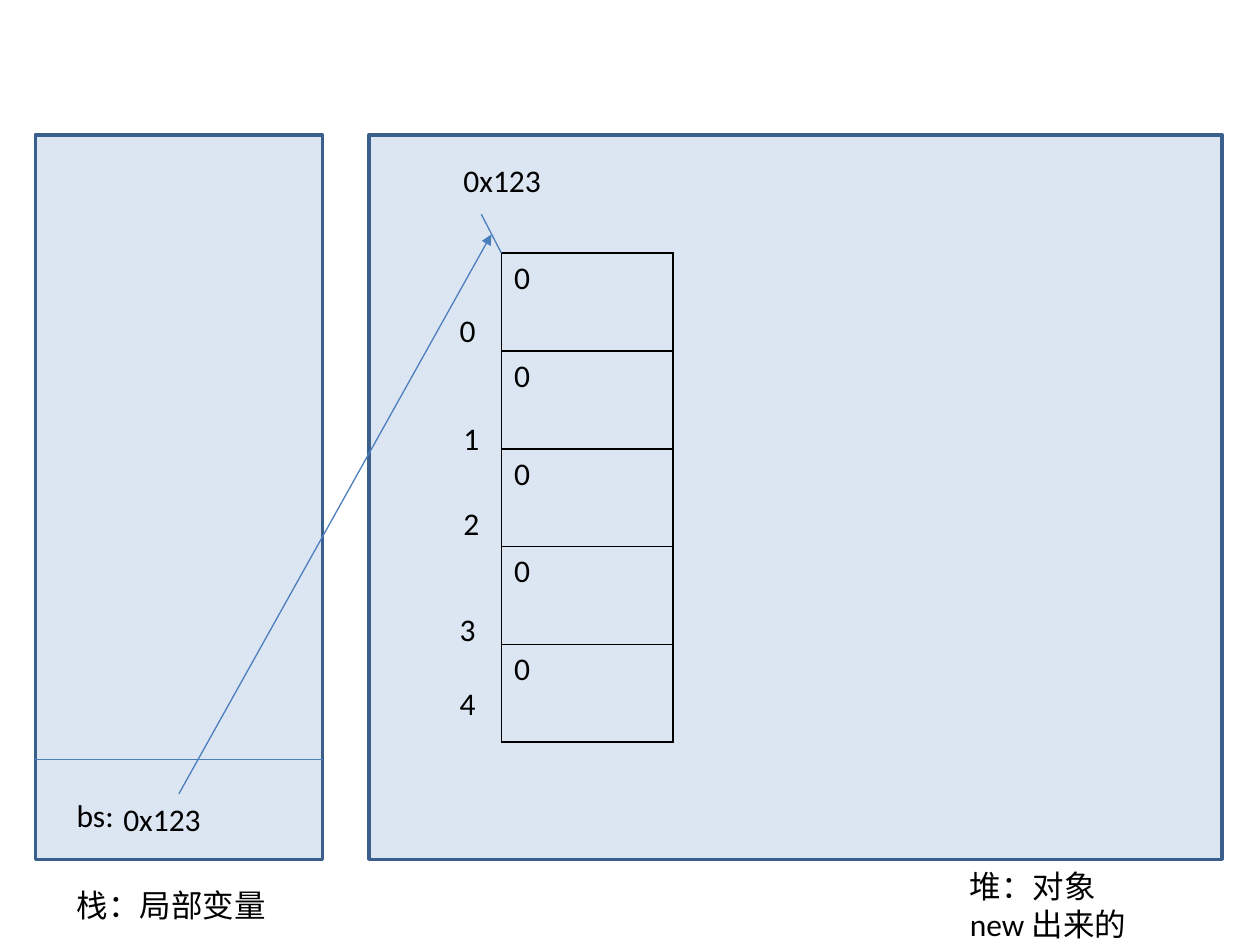
from lxml import etree
from pptx import Presentation
from pptx import util as u
from pptx.dml.color import RGBColor
from pptx.enum import shapes, text
from pptx.oxml.ns import qn

PANEL, EDGE, ARROW, INK = "DCE6F2", "3A5F8C", "4B7EBC", "000000"
FONT = {"name": "Calibri", "size": u.Pt(18)}
FRAME = {"word_wrap": True, "auto_size": text.MSO_AUTO_SIZE.SHAPE_TO_FIT_TEXT}


def rgb(value):
    return RGBColor.from_string(value)


def apply(obj, values):
    for name, value in values.items():
        setattr(obj, name, value)


def lengths(*values):
    return [u.Inches(v) for v in values]


def write(tf, lines):
    tf.text = "\n".join(lines)
    for p in tf.paragraphs:
        for r in p.runs:
            apply(r.font, FONT)
            r.font.color.rgb = rgb(INK)


def add_panel(s, *box):
    sp = s.shapes.add_shape(shapes.MSO_SHAPE.RECTANGLE, *lengths(*box))
    sp.shadow.inherit = False
    sp.fill.solid()
    sp.fill.fore_color.rgb = rgb(PANEL)
    sp.line.color.rgb = rgb(EDGE)
    sp.line.width = u.Pt(2)


def add_label(s, box, *lines):
    sp = s.shapes.add_textbox(*lengths(*box))
    apply(sp.text_frame, FRAME)
    write(sp.text_frame, lines)
    return sp


def add_line(s, *ends, arrow=False):
    line = s.shapes.add_connector(shapes.MSO_CONNECTOR.STRAIGHT, *lengths(*ends))
    line.line.color.rgb = rgb(ARROW)
    line.line.width = u.Pt(0.75)
    if arrow:
        ln = line.line._get_or_add_ln()
        etree.SubElement(ln, qn("a:tailEnd"), type="triangle")
    etree.SubElement(line._element.spPr, qn("a:effectLst"))
    return line


def add_borders(cell):
    """Draw all four sides; borders must come before the cell's fill."""
    props = cell._tc.get_or_add_tcPr()
    for i, side in enumerate(("a:lnL", "a:lnR", "a:lnT", "a:lnB")):
        ln = etree.Element(qn(side), w=str(u.Pt(1)))
        fill = etree.SubElement(ln, qn("a:solidFill"))
        etree.SubElement(fill, qn("a:srgbClr"), val=INK)
        props.insert(i, ln)


def add_array(s, box, values):
    left, top, width, height = lengths(*box)
    table = s.shapes.add_table(len(values), 1, left, top, width, height).table
    apply(table, {"first_row": False, "horz_banding": False})
    for row, value in zip(table.rows, values):
        row.height = height // len(values)
        cell = row.cells[0]
        write(cell.text_frame, [value])
        cell.fill.background()
        add_borders(cell)


def main():
    prs = Presentation()
    prs.slide_width, prs.slide_height = lengths(10, 7.5)
    s = prs.slides.add_slide(prs.slide_layouts[6])

    # Stack and heap
    for left, width in ((0.28, 2.28), (2.93, 6.77)):
        add_panel(s, left, 1.07, width, 5.75)
    add_label(s, (0.51, 6.98, 2.68, 0.4), "栈：局部变量")
    add_label(s, (7.6, 6.83, 1.73, 0.71), "堆：对象", "new 出来的")

    # Array on the heap, with its address
    add_line(s, 0.28, 6.03, 2.56, 6.03)
    add_label(s, (0.51, 6.27, 1.5, 0.4), "bs:")
    add_array(s, (3.98, 2.01, 1.36, 3.88), ["0"] * 5)
    add_line(s, 3.98, 2.01, 3.82, 1.7)
    add_label(s, (3.58, 1.23, 1.08, 0.4), "0x123")

    # Reference from the stack variable
    reference = add_label(s, (0.88, 6.3, 1.08, 0.4), "0x123")
    pointer = add_line(s, 1.42, 6.3, 3.9, 1.86, arrow=True)
    pointer.begin_connect(reference, 0)

    # Array indexes
    places = ((3.55, 2.42), (3.58, 3.28), (3.58, 3.95), (3.55, 4.79), (3.55, 5.38))
    for index, (left, top) in enumerate(places):
        add_label(s, (left, top, 0.39, 0.4), str(index))

    prs.save("out.pptx")


if __name__ == "__main__":
    main()
